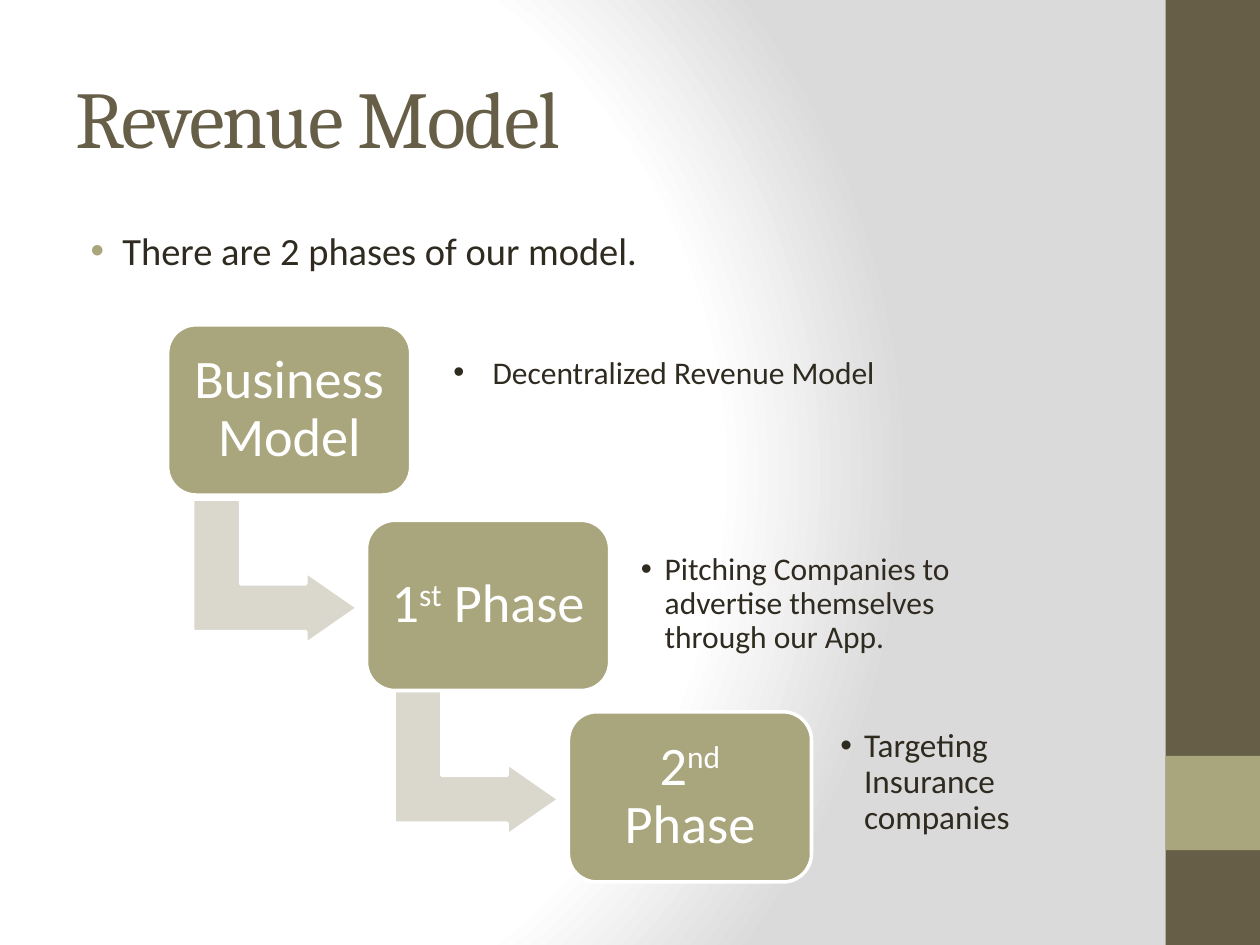
import dataclasses

import pptx
import pptx.dml.color
import pptx.enum.shapes
import pptx.enum.text
import pptx.oxml
import pptx.oxml.ns
import pptx.util

Cm = pptx.util.Cm
Pt = pptx.util.Pt
Kind = pptx.enum.shapes.MSO_SHAPE
Anchor = pptx.enum.text.MSO_ANCHOR
Align = pptx.enum.text.PP_ALIGN


@dataclasses.dataclass(frozen=True)
class Theme:
    """Colours, fonts and type sizes of the slide."""
    brown: str = "675E47"
    olive: str = "A9A57C"
    pale: str = "DAD8CC"
    ink: str = "2F2B20"
    white: str = "FFFFFF"
    grey: str = "DADADA"
    serif: str = "Cambria"
    sans: str = "Calibri"
    title: int = 46
    lead: int = 22
    box: int = 31
    note: int = 18
    last: int = 19


THEME = Theme()


def rgb(code):
    """Turn a hex code into a colour."""
    return pptx.dml.color.RGBColor.from_string(code)


def style(para, size, color, face=THEME.sans, align=Align.LEFT):
    """Set the type and alignment of a paragraph."""
    para.alignment = align
    para.font.size = Pt(size)
    para.font.name = face
    para.font.color.rgb = rgb(color)


def frame(shape, inset, anchor):
    """Prepare a wrapped text frame with equal insets."""
    text = shape.text_frame
    text.word_wrap = True
    text.vertical_anchor = anchor
    if inset is not None:
        text.margin_left = text.margin_right = Cm(inset)
        text.margin_top = text.margin_bottom = Cm(inset)
    return text.paragraphs[0]


def add_back(slide):
    """Fill the background with a radial gradient."""
    stops = ((0, THEME.white), (75, THEME.white), (100, THEME.grey))
    marks = "".join(
        f'<a:gs pos="{pos * 1000}"><a:srgbClr val="{code}"/></a:gs>'
        for pos, code in stops)
    space = pptx.oxml.ns.nsdecls("p", "a")
    back = pptx.oxml.parse_xml(
        f'<p:bg {space}><p:bgPr><a:gradFill rotWithShape="1">'
        f'<a:gsLst>{marks}</a:gsLst><a:path path="circle">'
        '<a:fillToRect l="20000" t="50000" r="100000" b="50000"/></a:path>'
        '</a:gradFill><a:effectLst/></p:bgPr></p:bg>')
    slide.element.cSld.insert(0, back)


def add_form(slide, kind, area, fill, line=None):
    """Add a filled preset shape, outlined if a line colour is given."""
    shape = slide.shapes.add_shape(kind, *map(Cm, area))
    shape.shadow.inherit = False
    shape.fill.solid()
    shape.fill.fore_color.rgb = rgb(fill)
    if line:
        shape.line.color.rgb = rgb(line)
        shape.line.width = Pt(2)
    else:
        shape.line.fill.background()
    return shape


def add_title(slide, text):
    """Place and format the title."""
    title = slide.shapes.title
    title.left, title.top = Cm(1.27), Cm(0.76)
    title.width, title.height = Cm(21.16), Cm(3.18)
    para = frame(title, None, Anchor.MIDDLE)
    run = para.add_run()
    run.text = text
    run.font._element.set("spc", "-100")
    style(para, THEME.title, THEME.brown, THEME.serif)


def add_box(slide, left, top, parts):
    """Add a phase box; every second part is superscript."""
    box = add_form(slide, Kind.ROUNDED_RECTANGLE, (left, top, 4.9, 3.43),
                   THEME.olive, THEME.white)
    para = frame(box, 0.33, Anchor.MIDDLE)
    para.line_spacing = 0.9
    for rank, part in enumerate(parts):
        run = para.add_run()
        run.text = part
        if rank % 2:
            run.font._element.set("baseline", "30000")
    style(para, THEME.box, THEME.white, align=Align.CENTER)


def add_arrow(slide, left, top):
    """Add a bent arrow that leads to the next box."""
    arrow = add_form(slide, Kind.BENT_UP_ARROW, (left, top, 2.92, 3.33),
                     THEME.pale, THEME.white)
    arrow.rotation = 90
    for rank, value in enumerate((0.33, 0.25, 0.36)):
        arrow.adjustments[rank] = value


def add_point(slide, area, text, size, margin, hang, inset=None,
              anchor=Anchor.TOP, tint=THEME.ink):
    """Add a text box with one bulleted paragraph."""
    para = frame(slide.shapes.add_textbox(*map(Cm, area)), inset, anchor)
    para.text = text
    props = para._p.get_or_add_pPr()
    props.set("marL", str(Cm(margin)))
    props.set("indent", str(-Cm(hang)))
    space = pptx.oxml.ns.nsdecls("a")
    for item in (f'<a:buClr {space}><a:srgbClr val="{tint}"/></a:buClr>',
                 f'<a:buFont {space} typeface="Arial"/>',
                 f'<a:buChar {space} char="•"/>'):
        props.append(pptx.oxml.parse_xml(item))
    style(para, size, THEME.ink)
    return para


def main():
    """Build and save the slide."""
    deck = pptx.Presentation()
    deck.slide_width, deck.slide_height = Cm(25.4), Cm(19.05)
    slide = deck.slides.add_slide(deck.slide_layouts[5])
    add_back(slide)
    add_form(slide, Kind.RECTANGLE, (23.5, 0, 1.9, 19.05), THEME.brown)
    add_form(slide, Kind.RECTANGLE, (23.5, 15.24, 1.9, 1.9), THEME.olive)
    add_title(slide, "Revenue Model")
    lead = add_point(slide, (1.27, 4.45, 21.16, 13.33),
                     "There are 2 phases of our model.", THEME.lead,
                     0.95, 0.64, tint=THEME.olive)
    lead.space_before = Pt(4.4)

    for left, top in ((4.09, 9.86), (8.15, 13.72)):
        add_arrow(slide, left, top)
    for left, top, parts in ((3.38, 6.55, ("Business Model",)),
                             (7.39, 10.49, ("1", "st", " Phase")),
                             (11.46, 14.35, ("2", "nd", " Phase"))):
        add_box(slide, left, top, parts)

    add_point(slide, (8.89, 6.99, 12.27, 1.02),
              "Decentralized Revenue Model", THEME.note, 0.79, 0.79)
    for area, text, size in (
            ((12.67, 10.8, 7.04, 2.77),
             "Pitching Companies to advertise themselves through our App.",
             THEME.note),
            ((16.69, 14.4, 4.47, 2.77),
             "Targeting Insurance companies", THEME.last)):
        note = add_point(slide, area, text, size, 0.48, 0.48, 0.25,
                         Anchor.MIDDLE)
        note.line_spacing = 0.9
    deck.save("out.pptx")


if __name__ == "__main__":
    main()
